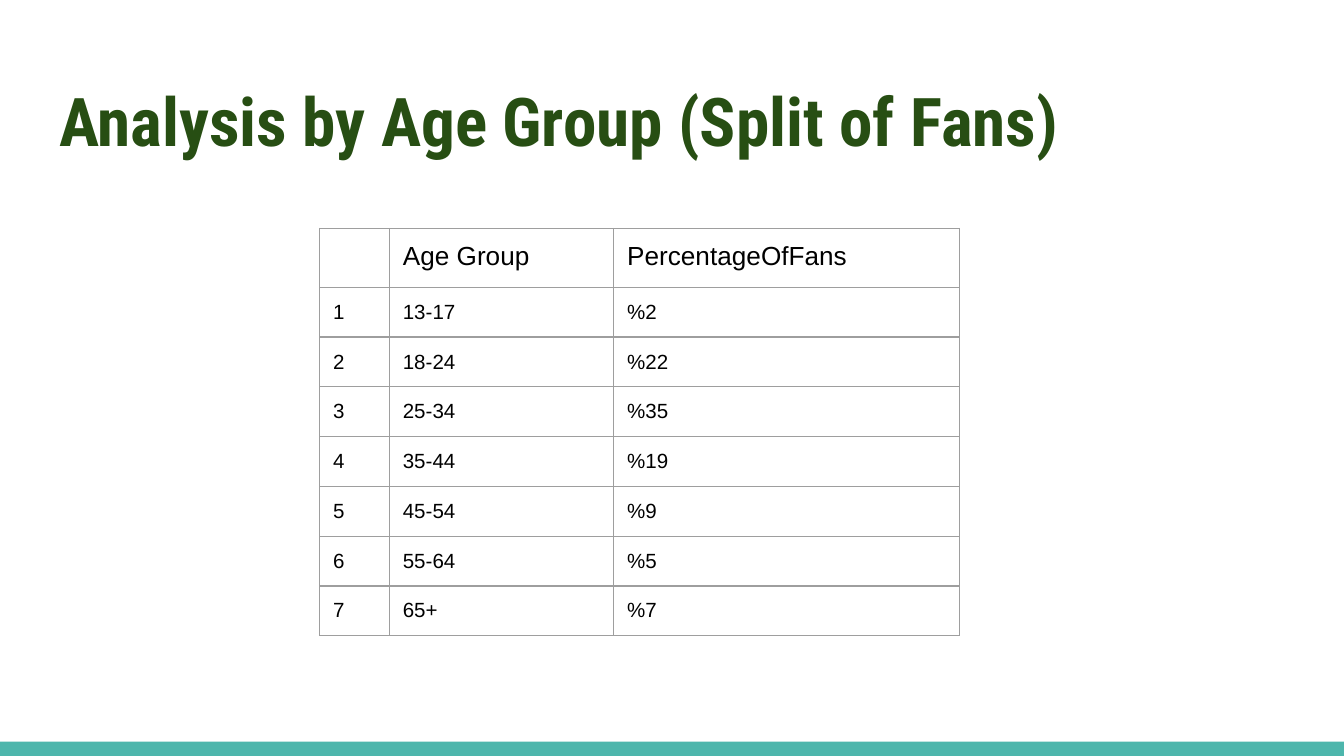
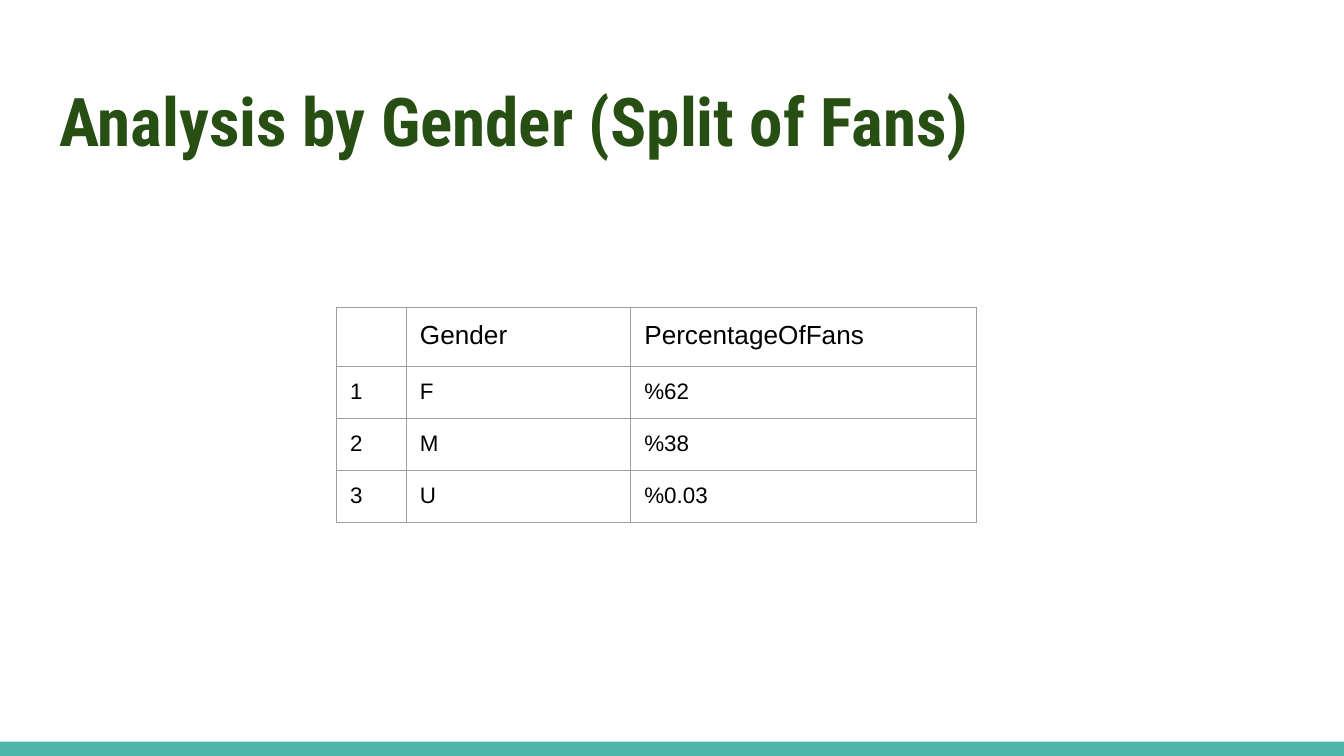
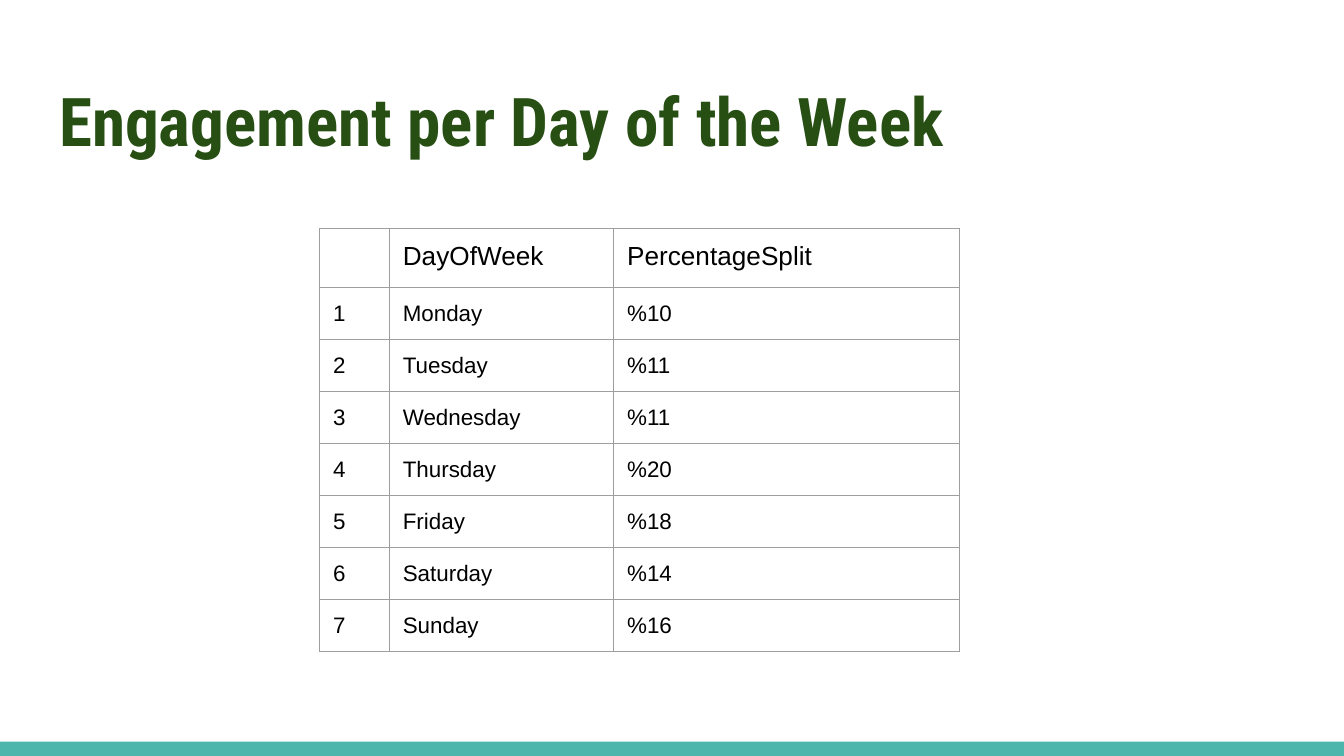
from lxml import etree
from pptx import Presentation
from pptx import util as u
from pptx.dml.color import RGBColor
from pptx.enum import shapes, text
from pptx.oxml.ns import qn

COLORS = {"title": "274E13", "band": "4DB6AC", "ink": "000000", "rule": "9E9E9E"}
INSET = u.Pt(7.2)
COLUMN_WIDTHS = (37.4, 120.2, 185.2)
HEADER_SIZE, HEADER_HEIGHT = 14, 30

AGE_GROUPS = [
    ("13-17", "%2"), ("18-24", "%22"), ("25-34", "%35"), ("35-44", "%19"),
    ("45-54", "%9"), ("55-64", "%5"), ("65+", "%7"),
]
GENDERS = [("F", "%62"), ("M", "%38"), ("U", "%0.03")]
WEEKDAYS = [
    ("Monday", "%10"), ("Tuesday", "%11"), ("Wednesday", "%11"), ("Thursday", "%20"),
    ("Friday", "%18"), ("Saturday", "%14"), ("Sunday", "%16"),
]


def write(frame, words, size, font="Arial", color="ink", bold=False):
    """Put one formatted, left-aligned line of text into a text frame."""
    line = frame.paragraphs[0]
    line.alignment = text.PP_ALIGN.LEFT
    if not words:
        etree.SubElement(line._p, qn("a:endParaRPr"), sz=str(size * 100))
        return
    run = line.add_run()
    run.text = words
    run.font.size = u.Pt(size)
    run.font.name = font
    run.font.bold = bold
    run.font.color.rgb = RGBColor.from_string(COLORS[color])


def set_insets(part):
    """Give a cell or text frame the same inset on every side."""
    part.margin_left = part.margin_right = INSET
    part.margin_top = part.margin_bottom = INSET


def add_borders(cell):
    """Draw a thin rule on all four sides of a cell."""
    properties = cell._tc.get_or_add_tcPr()
    for side in ("lnL", "lnR", "lnT", "lnB"):
        rule = etree.SubElement(properties, qn(f"a:{side}"), w=str(u.Pt(0.75)))
        fill = etree.SubElement(rule, qn("a:solidFill"))
        etree.SubElement(fill, qn("a:srgbClr"), val=COLORS["rule"])


def style_layout(prs, layout):
    """Place the shared title and bottom band on the layout."""
    title = layout.placeholders[0]
    title.left, title.top = u.Pt(24.5), u.Pt(35.3)
    title.width, title.height = u.Pt(671), u.Pt(55.4)
    set_insets(title.text_frame)
    title.text_frame.vertical_anchor = text.MSO_ANCHOR.TOP
    title.text_frame.auto_size = text.MSO_AUTO_SIZE.NONE

    first_slide = prs.slides[0]
    band = first_slide.shapes.add_shape(
        shapes.MSO_SHAPE.RECTANGLE, 0, u.Pt(397.4), prs.slide_width, u.Pt(7.6))
    band.shadow.inherit = False
    band.fill.solid()
    band.fill.fore_color.rgb = RGBColor.from_string(COLORS["band"])
    band.line.fill.background()
    band.element.nvSpPr.cNvPr.id = 20
    layout.shapes.element.append(band.element)


def add_split_table(slide, left, top, headings, splits, size, row_height):
    """Add a numbered table of categories and their percentages."""
    rows = [("", *headings)]
    rows += [(str(number), *split) for number, split in enumerate(splits, 1)]
    height = HEADER_HEIGHT + row_height * len(splits)
    table = slide.shapes.add_table(
        len(rows), len(COLUMN_WIDTHS), u.Pt(left), u.Pt(top),
        u.Pt(sum(COLUMN_WIDTHS)), u.Pt(height)).table
    table.first_row = table.horz_banding = False
    for column, width in zip(table.columns, COLUMN_WIDTHS):
        column.width = u.Pt(width)
    for r, row in enumerate(rows):
        table.rows[r].height = u.Pt(row_height if r else HEADER_HEIGHT)
        for c, words in enumerate(row):
            cell = table.cell(r, c)
            set_insets(cell)
            add_borders(cell)
            cell.fill.background()
            write(cell.text_frame, words, size if r else HEADER_SIZE)


def add_split_slide(prs, layout, heading, **table):
    """Add a slide with a title and one table."""
    slide = prs.slides.add_slide(layout)
    write(slide.shapes.title.text_frame, heading, 36,
          font="Roboto Condensed", color="title", bold=True)
    add_split_table(slide, **table)


def main():
    """Build and save the three slides."""
    prs = Presentation()
    prs.slide_width, prs.slide_height = u.Pt(720), u.Pt(405)
    layout = prs.slide_layouts[5]
    add_split_slide(prs, layout, "Analysis by Age Group (Split of Fans)",
                    left=171.2, top=122.4, headings=("Age Group", "PercentageOfFans"),
                    splits=AGE_GROUPS, size=11, row_height=26.65)
    add_split_slide(prs, layout, "Analysis by Gender (Split of Fans)",
                    left=180.4, top=164.7, headings=("Gender", "PercentageOfFans"),
                    splits=GENDERS, size=12, row_height=27.85)
    add_split_slide(prs, layout, "Engagement per Day of the Week",
                    left=171.2, top=122.4, headings=("DayOfWeek", "PercentageSplit"),
                    splits=WEEKDAYS, size=12, row_height=27.85)
    style_layout(prs, layout)
    prs.save("out.pptx")


if __name__ == "__main__":
    main()
